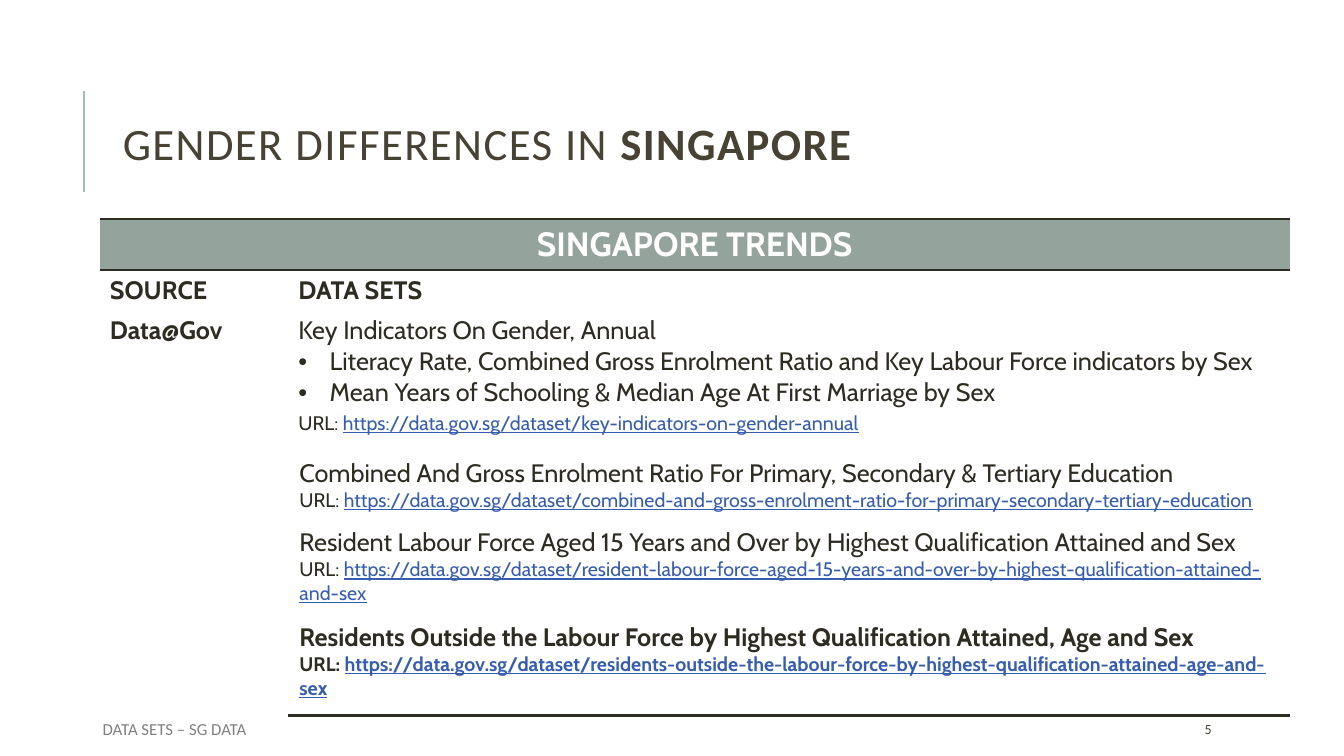
import pptx
import pptx.dml.color
import pptx.enum.shapes
import pptx.enum.text
import pptx.oxml
import pptx.util
from pptx.util import Inches

INK, TITLE, LINK, GREY, WHITE = "2E2B21", "474233", "375DB0", "808080", "FFFFFF"
NAMESPACE = 'xmlns:a="http://schemas.openxmlformats.org/drawingml/2006/main"'
NO_STYLE = "{2D5ABB26-0587-4C30-8999-92F81FD0307C}"


def color(value):
    return pptx.dml.color.RGBColor.from_string(value)


def add_run(paragraph, text, size, ink, name="Cabin", **format_values):
    run = paragraph.add_run()
    run.text = text
    format_values.update(size=pptx.util.Pt(size), name=name)
    for attribute, value in format_values.items():
        setattr(run.font, attribute, value)
    run.font.color.rgb = color(ink)
    return run


presentation = pptx.Presentation()
presentation.slide_width = Inches(13.33)
presentation.slide_height = Inches(7.5)
slide = presentation.slides.add_slide(presentation.slide_layouts[6])

# Accent line beside the title
accent = slide.shapes.add_connector(
    pptx.enum.shapes.MSO_CONNECTOR.STRAIGHT,
    Inches(0.83), Inches(1.9), Inches(0.83), Inches(0.9))
accent.line.color.rgb = color("9CBEBD")
accent.line.width = pptx.util.Pt(1.5)
accent._element.spPr.append(pptx.oxml.parse_xml(f"<a:effectLst {NAMESPACE}/>"))

# Title, footer and slide number
MIDDLE = pptx.enum.text.MSO_ANCHOR.MIDDLE
TOP = pptx.enum.text.MSO_ANCHOR.TOP
text_boxes = [
    ((1.12, 0.64, 11.07, 1.64), MIDDLE, 32, TITLE, "GENDER DIFFERENCES IN ", "SINGAPORE"),
    ((0.92, 7.08, 2.84, 0.3), TOP, 12, GREY, "DATA SETS – SG DATA", ""),
    ((11.85, 7.08, 1.06, 0.3), MIDDLE, 10, TITLE, "5", ""),
]
for place, anchor, size, ink, text, bold_text in text_boxes:
    frame = slide.shapes.add_textbox(*map(Inches, place)).text_frame
    frame.word_wrap = True
    frame.vertical_anchor = anchor
    paragraph = frame.paragraphs[0]
    runs = [add_run(paragraph, text, size, ink, "Calibri")]
    if bold_text:
        paragraph.line_spacing = 0.8
        runs.append(add_run(paragraph, bold_text, size, ink, "Calibri", bold=True))
        for run in runs:
            run.font._element.set("spc", "100")

# Table grid
column_widths = [1.87, 9.93]
row_heights = [0.51, 0.4, 1.45, 0.69, 0.94, 0.94]
table_frame = slide.shapes.add_table(
    len(row_heights), len(column_widths), Inches(0.99), Inches(2.17),
    Inches(sum(column_widths)), Inches(sum(row_heights)))
table = table_frame.table
table.first_row = table.horz_banding = False
table_frame._element.xpath(".//a:tableStyleId")[0].text = NO_STYLE
for column, width in zip(table.columns, column_widths):
    column.width = Inches(width)
for row, height in zip(table.rows, row_heights):
    row.height = Inches(height)

# Cell fills and horizontal rules
last_row = len(row_heights) - 1
rules = {0: ["lnT", "lnB"], last_row: ["lnB"]}
for row_index, row in enumerate(table.rows):
    for cell in row.cells:
        cell.fill.solid()
        cell.fill.fore_color.rgb = color(WHITE if row_index else "95A39D")
        for side in reversed(rules.get(row_index, [])):
            cell._tc.get_or_add_tcPr().insert(0, pptx.oxml.parse_xml(
                f'<a:{side} {NAMESPACE} w="25400"><a:solidFill>'
                f'<a:srgbClr val="{INK}"/></a:solidFill></a:{side}>'))
table.cell(0, 0).merge(table.cell(0, 1))
table.cell(2, 0).merge(table.cell(last_row, 0))

# Headings
headings = [
    (0, 0, "SINGAPORE TRENDS", 24, WHITE),
    (1, 0, "SOURCE", 18, INK),
    (1, 1, "DATA SETS", 18, INK),
    (2, 0, "Data@Gov", 18, INK),
]
for row_index, column_index, text, size, ink in headings:
    paragraph = table.cell(row_index, column_index).text_frame.paragraphs[0]
    add_run(paragraph, text, size, ink, bold=True)
table.cell(0, 0).text_frame.paragraphs[0].alignment = pptx.enum.text.PP_ALIGN.CENTER

# Data sets: name, bullets, address
data_sets = [
    ("Key Indicators On Gender, Annual",
     ["Literacy Rate, Combined Gross Enrolment Ratio and Key Labour Force indicators by Sex",
      "Mean Years of Schooling & Median Age At First Marriage by Sex"],
     "key-indicators-on-gender-annual"),
    ("Combined And Gross Enrolment Ratio For Primary, Secondary & Tertiary Education", [],
     "combined-and-gross-enrolment-ratio-for-primary-secondary-tertiary-education"),
    ("Resident Labour Force Aged 15 Years and Over by Highest Qualification Attained and Sex", [],
     "resident-labour-force-aged-15-years-and-over-by-highest-qualification-attained-and-sex"),
    ("Residents Outside the Labour Force by Highest Qualification Attained, Age and Sex", [],
     "residents-outside-the-labour-force-by-highest-qualification-attained-age-and-sex"),
]
for row_index, (name, bullets, address) in enumerate(data_sets, start=2):
    cell = table.cell(row_index, 1)
    bold = row_index == last_row
    frame = cell.text_frame
    add_run(frame.paragraphs[0], name, 18, INK, bold=bold)
    for bullet in bullets:
        paragraph = frame.add_paragraph()
        properties = paragraph._p.get_or_add_pPr()
        properties.set("marL", str(Inches(0.31)))
        properties.set("indent", str(-Inches(0.31)))
        properties.append(pptx.oxml.parse_xml(f'<a:buFont {NAMESPACE} typeface="Arial"/>'))
        properties.append(pptx.oxml.parse_xml(f'<a:buChar {NAMESPACE} char="•"/>'))
        add_run(paragraph, bullet, 18, INK, bold=bold)
    paragraph = frame.add_paragraph()
    add_run(paragraph, "URL: ", 14, INK, bold=bold)
    add_run(paragraph, "https://data.gov.sg/dataset/" + address, 14, LINK,
            bold=bold, underline=True)
    if bullets:
        paragraph.line_spacing = 1.14
    else:
        cell.margin_left = cell.margin_right = cell.margin_top = Inches(0.01)
        cell.margin_bottom = 0
        for paragraph in frame.paragraphs:
            paragraph._p.get_or_add_pPr().set("marL", str(Inches(0.1)))

presentation.save("out.pptx")
